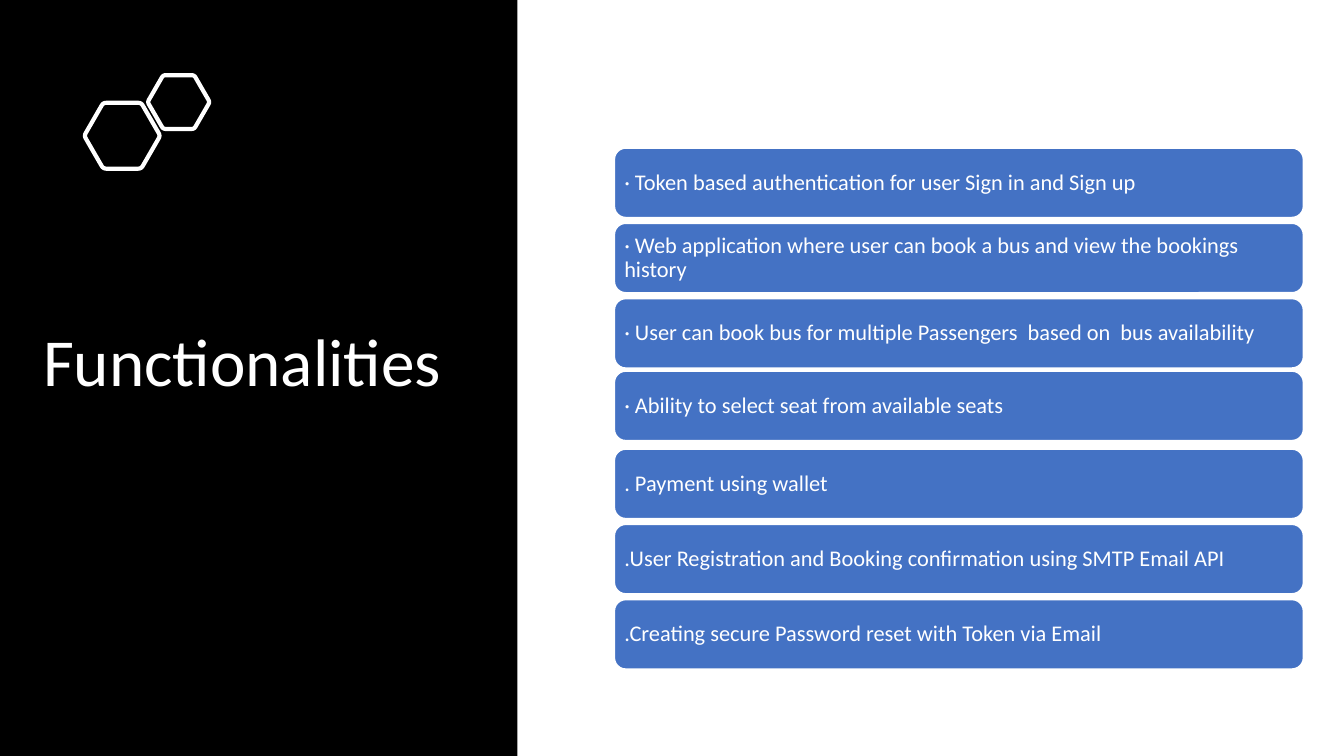
import math

import pptx
import pptx.dml.color
import pptx.enum.shapes
import pptx.enum.text
import pptx.util

Inches = pptx.util.Inches
RGBColor = pptx.dml.color.RGBColor
SHAPES = pptx.enum.shapes.MSO_SHAPE

BLACK = RGBColor(0x00, 0x00, 0x00)
WHITE = RGBColor(0xFF, 0xFF, 0xFF)
BLUE = RGBColor(0x44, 0x72, 0xC4)

FEATURES = [
    "· Token based authentication for user Sign in and Sign up",
    "· Web application where user can book a bus and view the bookings history",
    "· User can book bus for multiple Passengers  based on  bus availability",
    "· Ability to select seat from available seats",
    ". Payment using wallet",
    ".User Registration and Booking confirmation using SMTP Email API",
    ".Creating secure Password reset with Token via Email",
]


def apply_format(target, values):
    for name, value in values.items():
        setattr(target, name, value)


def write_text(shape, text, size, inset_x, inset_y):
    frame = shape.text_frame
    apply_format(frame, {
        "text": text,
        "word_wrap": True,
        "auto_size": pptx.enum.text.MSO_AUTO_SIZE.NONE,
        "vertical_anchor": pptx.enum.text.MSO_ANCHOR.MIDDLE,
        "margin_left": Inches(inset_x), "margin_right": Inches(inset_x),
        "margin_top": Inches(inset_y), "margin_bottom": Inches(inset_y),
    })
    para = frame.paragraphs[0]
    apply_format(para, {"alignment": pptx.enum.text.PP_ALIGN.LEFT, "line_spacing": 0.9})
    apply_format(para.font, {"name": "Calibri", "size": pptx.util.Pt(size)})
    para.font.color.rgb = WHITE


def add_hexagon(page, center_x, center_y, height):
    """Outline a regular hexagon with softly rounded corners."""
    radius, cut, steps = height / math.sqrt(3), 0.08, 4
    corners = [(center_x + radius * math.cos(math.radians(60 * i)),
                center_y + radius * math.sin(math.radians(60 * i))) for i in range(6)]
    points = []
    for i, corner in enumerate(corners):
        before, after = corners[i - 1], corners[(i + 1) % 6]
        for step in range(steps + 1):
            t = step / steps
            points.append(tuple(
                Inches(c + cut * ((1 - t) ** 2 * (b - c) + t ** 2 * (a - c)))
                for b, c, a in zip(before, corner, after)))
    builder = page.shapes.build_freeform(*points[0])
    builder.add_line_segments(points[1:], close=True)
    hexagon = builder.convert_to_shape()
    hexagon.shadow.inherit = False
    hexagon.fill.background()
    hexagon.line.color.rgb = WHITE
    hexagon.line.width = pptx.util.Pt(2.25)


def add_title_panel(page, left, top, width, height):
    panel = page.shapes.add_shape(SHAPES.RECTANGLE, Inches(left), Inches(top),
                                  Inches(width), height)
    panel.shadow.inherit = False
    panel.fill.solid()
    panel.fill.fore_color.rgb = BLACK
    panel.line.fill.background()

    title = page.shapes.title
    title.element.addprevious(panel.element)  # keeps the title in front
    apply_format(title, {"left": Inches(left + 0.22), "top": Inches(top + 0.96),
                         "width": Inches(width - 0.5), "height": Inches(3.51)})
    write_text(title, "Functionalities", 36, 0.1, 0.05)

    add_hexagon(page, left + 0.91, top + 1.01, 0.49)
    add_hexagon(page, left + 1.33, top + 0.76, 0.4)


def add_feature_cards(page, left, top, width, height):
    card_height = 0.52
    pitch = (height - card_height) / (len(FEATURES) - 1)
    nudges = {3: -0.02}  # the fourth card sits slightly high
    for i, feature in enumerate(FEATURES):
        card = page.shapes.add_shape(
            SHAPES.ROUNDED_RECTANGLE, Inches(left),
            Inches(top + i * pitch + nudges.get(i, 0)), Inches(width), Inches(card_height))
        card.shadow.inherit = False
        card.fill.solid()
        card.fill.fore_color.rgb = BLUE
        card.line.color.rgb = WHITE
        card.line.width = pptx.util.Pt(1)
        write_text(card, feature, 12, 0.05, 0.05)


def main():
    deck = pptx.Presentation()
    deck.slide_width = Inches(10)
    deck.slide_height = deck.slide_width * 9 // 16
    page = deck.slides.add_slide(deck.slide_layouts[5])
    add_title_panel(page, 0, 0, 3.85, deck.slide_height)
    add_feature_cards(page, 4.57, 1.1, 5.13, 3.88)
    deck.save("out.pptx")


if __name__ == "__main__":
    main()
